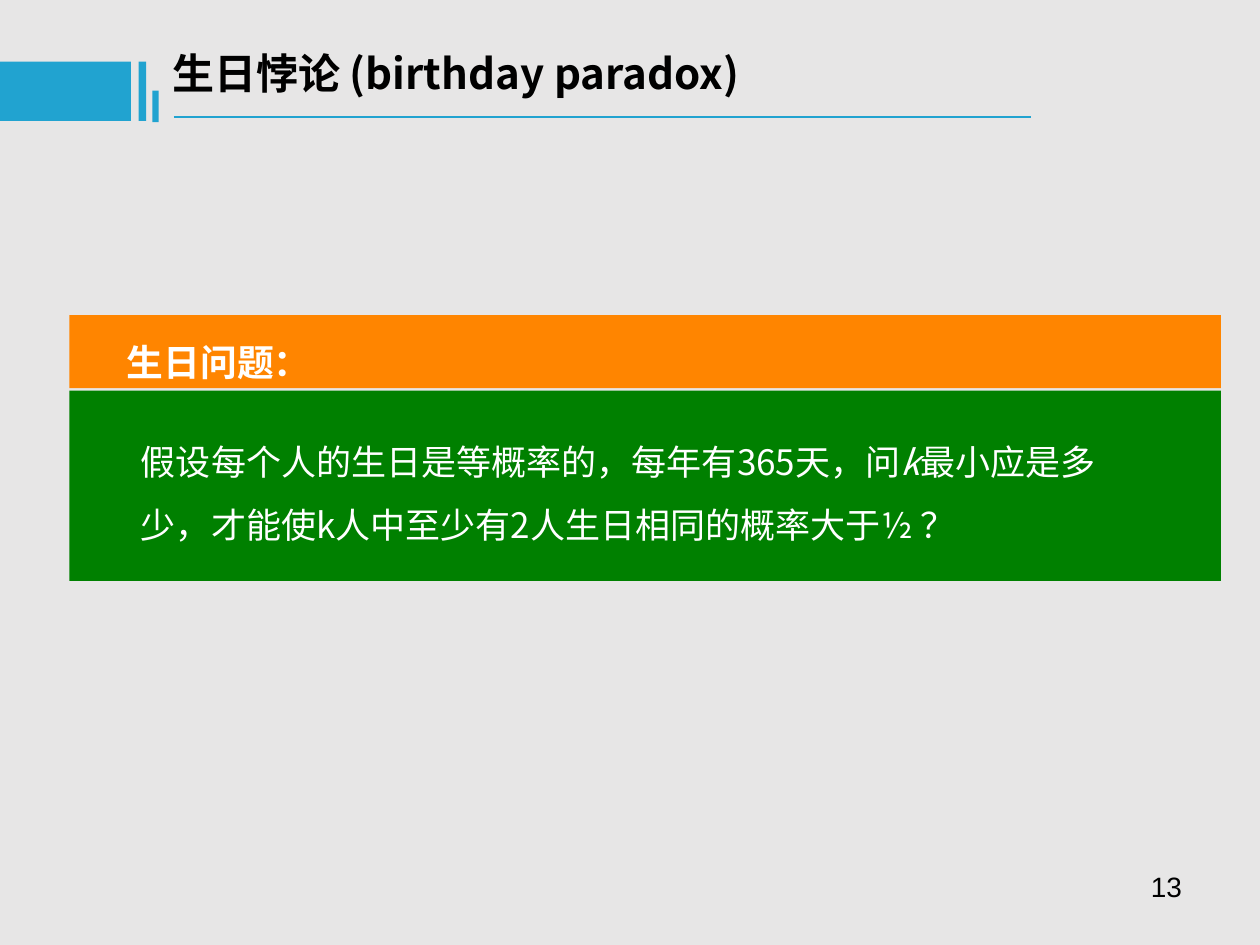
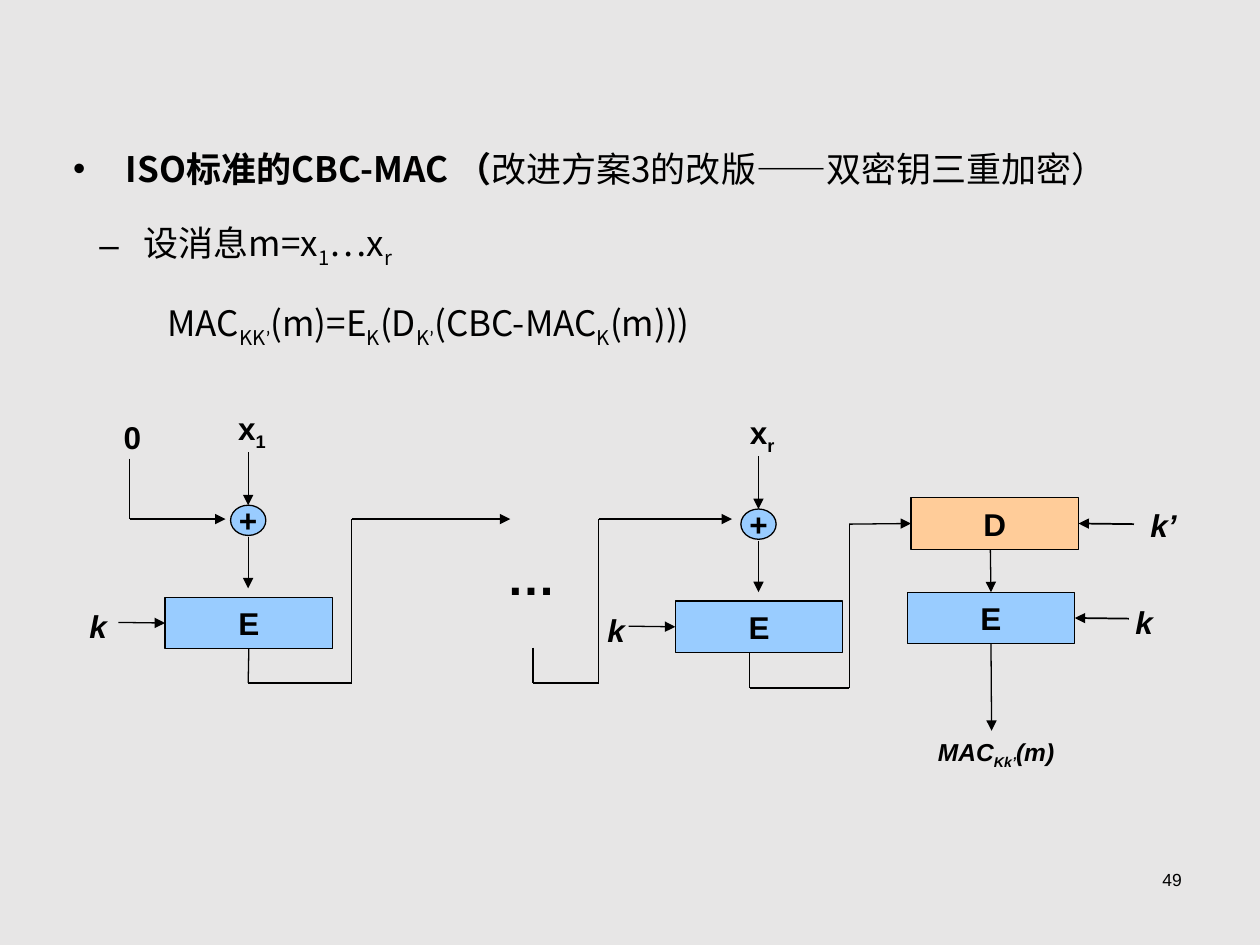
"""Build two slides: the birthday paradox and the ISO variant of CBC-MAC."""
from dataclasses import dataclass
from lxml.etree import SubElement
from pptx import Presentation
from pptx.dml.color import RGBColor
from pptx.enum.shapes import MSO_CONNECTOR, MSO_SHAPE
from pptx.enum.text import MSO_ANCHOR, PP_ALIGN
from pptx.oxml.ns import qn
from pptx.util import Inches, Pt


@dataclass(frozen=True)
class Theme:
    back: str = "E7E6E6"
    ink: str = "000000"
    white: str = "FFFFFF"
    accent: str = "21A3D0"
    head: str = "FF8500"
    panel: str = "008000"
    blue: str = "99CCFF"
    peach: str = "FFCC99"
    sans: str = "Arial"
    han: str = "Noto Sans CJK SC"
    quote: str = "Calibri"
    title: int = 24
    lead: int = 21
    body: int = 20
    label: int = 18
    dots: int = 28
    result: int = 14


T = Theme()


def color(code):
    return RGBColor.from_string(code)


def new_slide(deck):
    slide = deck.slides.add_slide(deck.slide_layouts[6])
    slide.background.fill.solid()
    slide.background.fill.fore_color.rgb = color(T.back)
    return slide


def add_run(para, text, marks, size, face, ink):
    run = para.add_run()
    run.text = text
    font = run.font
    font.name = T.quote if "q" in marks else face
    font.size = Pt(size)
    font.bold = "b" in marks
    font.italic = "i" in marks
    font.color.rgb = color(ink)
    props = run._r.get_or_add_rPr()
    if "s" in marks:
        props.set("baseline", "-25000")
    SubElement(props, qn("a:ea")).set("typeface", font.name)


def fill_para(para, runs, size, face=T.sans, ink=T.ink, align=None, lines=None):
    para.alignment = align
    para.line_spacing = lines
    for text, marks in runs:
        add_run(para, text, marks, size, face, ink)


def add_box(slide, place, wrap=True, inset=(0.1, 0.05)):
    frame = slide.shapes.add_textbox(*map(Inches, place)).text_frame
    frame.word_wrap = wrap
    frame.margin_left = frame.margin_right = Inches(inset[0])
    frame.margin_top = frame.margin_bottom = Inches(inset[1])
    return frame


def add_text(slide, place, runs, size, **style):
    fill_para(add_box(slide, place).paragraphs[0], runs, size, **style)


def add_label(slide, place, runs, size=T.label):
    frame = add_box(slide, place, wrap=False)
    fill_para(frame.paragraphs[0], runs, size, align=PP_ALIGN.CENTER)


def add_page(slide, number, size):
    frame = add_box(slide, (7.16, 6.84, 2.33, 0.52), inset=(0.11, 0.06))
    fill_para(frame.paragraphs[0], [(number, "")], size, align=PP_ALIGN.RIGHT)


def add_block(slide, place, fill, text=None, kind=MSO_SHAPE.RECTANGLE):
    shape = slide.shapes.add_shape(kind, *map(Inches, place))
    shape.shadow.inherit = False
    shape.fill.solid()
    shape.fill.fore_color.rgb = color(fill)
    if text is None:
        shape.line.fill.background()
        return shape
    shape.line.color.rgb = color(T.ink)
    shape.line.width = Pt(0.75)
    frame = shape.text_frame
    frame.word_wrap = False
    frame.vertical_anchor = MSO_ANCHOR.MIDDLE
    fill_para(frame.paragraphs[0], [(text, "b")], T.label, align=PP_ALIGN.CENTER)
    return shape


def add_line(slide, start, end, ink=T.ink, width=0.75, arrow=False):
    ends = map(Inches, (*start, *end))
    line = slide.shapes.add_connector(MSO_CONNECTOR.STRAIGHT, *ends)
    line.line.color.rgb = color(ink)
    line.line.width = Pt(width)
    if arrow:
        SubElement(line.line._get_or_add_ln(), qn("a:tailEnd")).set("type", "triangle")
    SubElement(line._element.spPr, qn("a:effectLst"))
    return line


def add_wire(slide, points, source=None, target=None, width=0.75):
    """Draw straight legs through the points, the last one with an arrowhead."""
    pairs = list(zip(points, points[1:]))
    legs = [add_line(slide, a, b, width=width, arrow=b == points[-1])
            for a, b in pairs]
    if source:
        legs[0].begin_connect(*source)
    if target:
        legs[-1].end_connect(*target)


def set_bullet(para, left, hang=0, mark=None):
    props = para._p.get_or_add_pPr()
    props.set("marL", str(Inches(left)))
    props.set("indent", str(Inches(-hang)))
    if mark:
        SubElement(props, qn("a:buFont")).set("typeface", T.sans)
        SubElement(props, qn("a:buChar")).set("char", mark)


def add_title(slide, text):
    add_text(slide, (1.27, 0.33, 6.84, 0.5), [(text, "b")], T.title, face=T.han)
    for bar in ((0, 0.49, 1.04, 0.47), (1.1, 0.49, 0.06, 0.47), (1.21, 0.72, 0.05, 0.25)):
        add_block(slide, bar, T.accent)
    add_line(slide, (1.38, 0.93), (8.18, 0.93), T.accent, 1.5)


def birthday(deck):
    slide = new_slide(deck)
    add_page(slide, "13", 16)
    add_title(slide, "生日悖论 (birthday paradox)")
    style = dict(face=T.han, ink=T.white, lines=1.5)
    add_block(slide, (0.55, 3.1, 9.14, 1.51), T.panel)
    add_text(slide, (1.02, 3.28, 7.89, 1.1), [
        ("假设每个人的生日是等概率的，每年有365天，问", ""), ("k", "i"),
        ("最小应是多少，才能使k人中至少有2人生日相同的概率大于½ ？", ""),
    ], T.body, **style)
    add_block(slide, (0.55, 2.5, 9.14, 0.58), T.head)
    add_text(slide, (0.91, 2.47, 8.54, 0.63), [("生日问题：", "b")], T.lead, **style)


def add_points(slide):
    frame = add_box(slide, (0.47, 0.94, 9, 1.95), inset=(0.11, 0.06))
    items = [
        ((0.42, 0.42, "•"), [("ISO标准的CBC-MAC （", "b"),
                             ("改进方案3的改版——双密钥三重加密）", "")]),
        ((0.56, 0.35, "–"), [("设消息m=x", ""), ("1", "s"), ("…x", ""), ("r", "s")]),
        ((0.75,), [("MAC", ""), ("KK", "s"), ("’", "sq"), ("(m)=E", ""), ("K", "s"),
                   ("(D", ""), ("K", "s"), ("’", "sq"), ("(CBC-MAC", ""), ("K", "s"),
                   ("(m)))", "")]),
    ]
    for rank, (bullet, runs) in enumerate(items):
        para = frame.add_paragraph() if rank else frame.paragraphs[0]
        set_bullet(para, *bullet)
        if rank:
            para.space_before = Pt(5)
        fill_para(para, runs, T.body, face=T.han, lines=1.5)


def add_stage(slide, mid, top, index):
    """Draw one chaining step: input, sum, cipher block and key."""
    block = add_block(slide, (mid - 0.66, top, 1.33, 0.41), T.blue, "E")
    add_label(slide, (mid - 0.27, top - 1.54, 0.6, 0.44), [("x", "b"), (index, "bs")])
    add_wire(slide, [(mid, top - 1.15), (mid, top - 0.73)])
    add_wire(slide, [(mid, top - 0.48), (mid, top - 0.07)])
    add_block(slide, (mid - 0.14, top - 0.73, 0.28, 0.24), T.blue, "+", MSO_SHAPE.OVAL)
    add_wire(slide, [(mid - 1.03, top + 0.2), (mid - 0.66, top + 0.2)], target=(block, 1))
    return block


def add_chain(slide):
    first = add_stage(slide, 1.97, 4.74, "1")
    last_mid = 6.02
    add_stage(slide, last_mid, 4.77, "r")
    undo = add_block(slide, (7.23, 3.95, 1.33, 0.41), T.peach, "D")
    final = add_block(slide, (7.2, 4.7, 1.33, 0.41), T.blue, "E")

    add_wire(slide, [(1.03, 3.64), (1.03, 4.12), (1.79, 4.12)])
    add_wire(slide, [(1.97, 5.15), (1.97, 5.42), (2.79, 5.42), (2.79, 4.12), (4.05, 4.12)],
             source=(first, 2))
    add_wire(slide, [(4.23, 5.14), (4.23, 5.42), (4.75, 5.42), (4.75, 4.12), (5.81, 4.12)])
    add_wire(slide, [(5.95, 5.18), (5.95, 5.46), (6.74, 5.46), (6.74, 4.16), (7.23, 4.16)],
             target=(undo, 1))
    add_wire(slide, [(7.86, 4.36), (7.86, 4.7)], target=(final, 0))
    add_wire(slide, [(7.86, 5.11), (7.87, 5.8)], source=(final, 2))
    add_wire(slide, [(9, 4.16), (8.56, 4.16)], target=(undo, 3), width=1)
    add_wire(slide, [(8.96, 4.91), (8.53, 4.91)], target=(final, 3), width=1)

    for left, top in ((0.61, 4.77), (4.72, 4.8), (8.91, 4.74)):
        add_label(slide, (left, top, 0.34, 0.4), [("k", "bi")])
    add_label(slide, (8.98, 3.97, 0.51, 0.4), [("k’", "bi")])
    add_label(slide, (0.88, 3.27, 0.34, 0.4), [("0", "b")])
    add_label(slide, (3.92, 4.29, 0.59, 0.57), [("…", "b")], T.dots)
    add_label(slide, (7.21, 5.8, 1.39, 0.37),
              [("MAC", "bi"), ("Kk’", "bis"), ("(m)", "bi")], T.result)


def cipher(deck):
    slide = new_slide(deck)
    add_page(slide, "49", 10)
    add_chain(slide)
    add_points(slide)


def main():
    deck = Presentation()
    deck.slide_width, deck.slide_height = Inches(10), Inches(7.5)
    birthday(deck)
    cipher(deck)
    deck.save("out.pptx")


if __name__ == "__main__":
    main()
